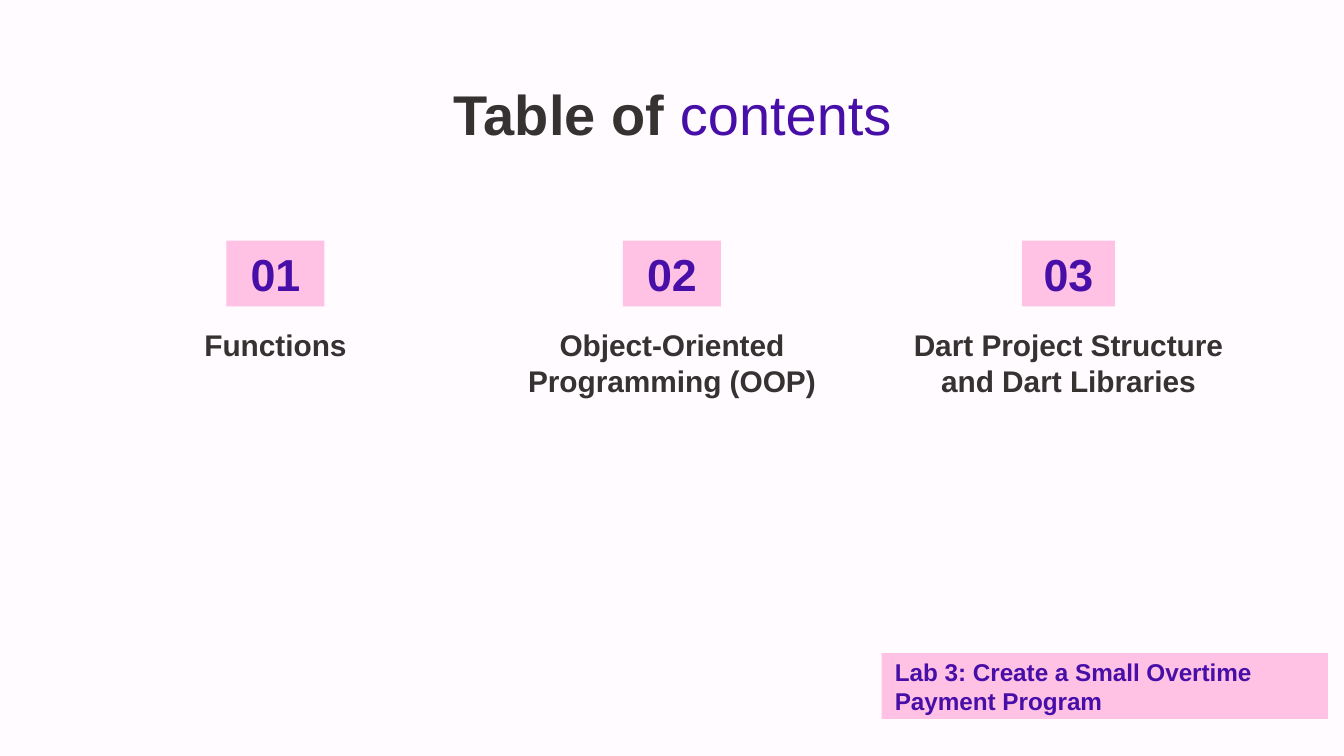
"""Build the table of contents slide for a Dart course."""
from dataclasses import dataclass

from pptx import Presentation
from pptx import util as u
from pptx.dml.color import RGBColor
from pptx.enum import shapes, text


@dataclass(frozen=True)
class Theme:
    font: str = "Arial"
    background: str = "FFFBFF"
    dark: str = "363232"
    purple: str = "470FA7"
    pink: str = "FFC1E4"
    title_size: int = 30
    number_size: int = 24
    topic_size: int = 16
    lab_size: int = 13
    inset: float = 0.1


@dataclass(frozen=True)
class Area:
    left: float
    top: float
    width: float
    height: float

    def lengths(self) -> tuple[u.Length, ...]:
        return tuple(map(u.Inches, (self.left, self.top, self.width, self.height)))


@dataclass(frozen=True)
class Span:
    words: str
    size: int
    color: str
    bold: bool = True


@dataclass(frozen=True)
class Topic:
    number: str
    name: str
    badge_width: float = 0.73


THEME = Theme()
TOPICS = (
    Topic("01", "Functions"),
    Topic("02", "Object-Oriented Programming (OOP)"),
    Topic("03", "Dart Project Structure and Dart Libraries", 0.69),
)
PAGE_WIDTH = 10
PAGE_HEIGHT = PAGE_WIDTH * 9 / 16
FIRST_CENTER, COLUMN_PITCH, COLUMN_WIDTH = 2.05, 2.95, 2.52
BADGE_TOP, BADGE_HEIGHT = 1.79, 0.49
TOPIC_TOP, TOPIC_HEIGHT = 2.33, 0.7


def write(box, spans: tuple[Span, ...],
          align: text.PP_ALIGN = text.PP_ALIGN.CENTER,
          anchor: text.MSO_ANCHOR = text.MSO_ANCHOR.TOP) -> None:
    frame = box.text_frame
    frame.word_wrap = True
    frame.auto_size = text.MSO_AUTO_SIZE.NONE
    frame.vertical_anchor = anchor
    frame.margin_left = frame.margin_right = u.Inches(THEME.inset)
    frame.margin_top = frame.margin_bottom = u.Inches(THEME.inset)
    para = frame.paragraphs[0]
    para.alignment = align
    para.line_spacing = 1.0
    para.space_before = u.Pt(0)
    for span in spans:
        run = para.add_run()
        run.text = span.words
        run.font.name = THEME.font
        run.font.size = u.Pt(span.size)
        run.font.bold = span.bold
        run.font.color.rgb = RGBColor.from_string(span.color)


def add_title(page, area: Area, spans: tuple[Span, ...]) -> None:
    title = page.shapes.title
    title.left, title.top, title.width, title.height = area.lengths()
    write(title, spans)


def add_label(page, area: Area, span: Span) -> None:
    write(page.shapes.add_textbox(*area.lengths()), (span,))


def add_badge(page, area: Area, span: Span,
              align: text.PP_ALIGN = text.PP_ALIGN.CENTER) -> None:
    badge = page.shapes.add_shape(shapes.MSO_SHAPE.RECTANGLE, *area.lengths())
    badge.shadow.inherit = False
    badge.fill.solid()
    badge.fill.fore_color.rgb = RGBColor.from_string(THEME.pink)
    badge.line.fill.background()
    write(badge, (span,), align, text.MSO_ANCHOR.MIDDLE)


def add_topic(page, topic: Topic, center: float) -> None:
    add_badge(page,
              Area(center - topic.badge_width / 2, BADGE_TOP, topic.badge_width, BADGE_HEIGHT),
              Span(topic.number, THEME.number_size, THEME.purple))
    add_label(page,
              Area(center - COLUMN_WIDTH / 2, TOPIC_TOP, COLUMN_WIDTH, TOPIC_HEIGHT),
              Span(topic.name, THEME.topic_size, THEME.dark))


def main() -> None:
    deck = Presentation()
    deck.slide_width, deck.slide_height = u.Inches(PAGE_WIDTH), u.Inches(PAGE_HEIGHT)
    page = deck.slides.add_slide(deck.slide_layouts.get_by_name("Title Only"))
    page.background.fill.solid()
    page.background.fill.fore_color.rgb = RGBColor.from_string(THEME.background)
    add_title(page, Area(0.79, 0.49, 8.43, 0.63), (
        Span("Table of ", THEME.title_size, THEME.dark),
        Span("contents", THEME.title_size, THEME.purple, bold=False),
    ))
    for index, topic in enumerate(TOPICS):
        add_topic(page, topic, FIRST_CENTER + index * COLUMN_PITCH)
    add_badge(page, Area(6.56, 4.86, 3.32, BADGE_HEIGHT),
              Span("Lab 3: Create a Small Overtime Payment Program",
                   THEME.lab_size, THEME.purple),
              text.PP_ALIGN.LEFT)
    deck.save("out.pptx")


if __name__ == "__main__":
    main()
